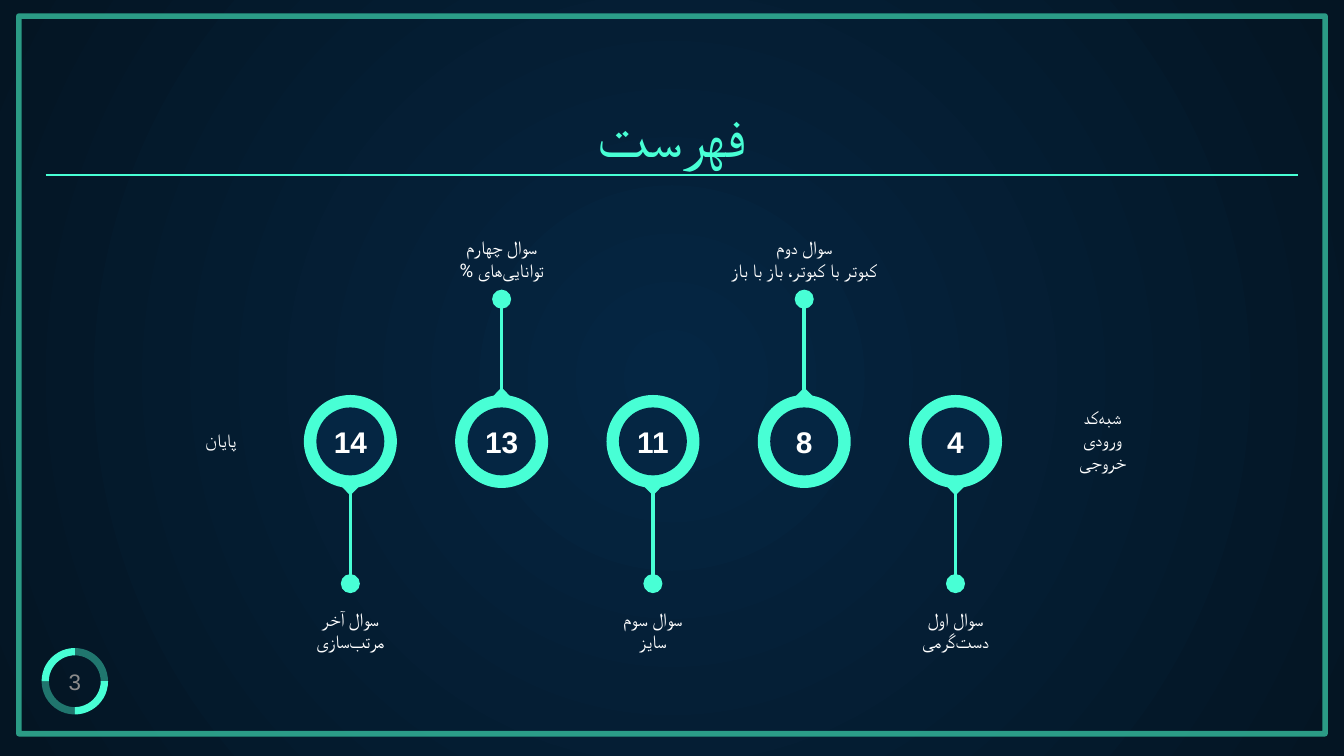
from dataclasses import dataclass

from lxml.etree import SubElement
from pptx import Presentation
from pptx.dml.color import RGBColor
from pptx.enum.shapes import MSO_CONNECTOR, MSO_SHAPE
from pptx.enum.text import MSO_ANCHOR, MSO_AUTO_SIZE, PP_ALIGN
from pptx.oxml.ns import qn
from pptx.shapes.autoshape import Shape
from pptx.slide import Slide
from pptx.text.text import TextFrame
from pptx.util import Pt

COLORS = {
    "accent": "48FFD5",
    "frame": "35BD9E",
    "center": "052643",
    "edge": "041523",
    "text": "FFFFFF",
    "page": "8C8C8C",
}
HALF_SPACE = chr(0x200C)
FIRST_X, STEP_X, AXIS_Y = 187.7, 81.05, 236.5
RING, HOLE, DOT, REACH = 49.8, 36.4, 10.2, 76.2
POINTER_WIDTH, POINTER_HEIGHT = 9.4, 4.8
LABEL_HEIGHT, LABEL_ABOVE, LABEL_BELOW = 36.7, 119.2, 318.2


@dataclass
class Milestone:
    page: str
    label: list[str]
    label_width: float
    upward: bool


@dataclass
class SideLabel:
    lines: list[str]
    left: float
    top: float
    width: float
    height: float


MILESTONES = [
    Milestone("14", ["سوال آخر", f"مرتب{HALF_SPACE}سازی"], 87, False),
    Milestone("13", ["سوال چهارم", f"توانایی{HALF_SPACE}های %"], 92, True),
    Milestone("11", ["سوال سوم", "سایز"], 94, False),
    Milestone("8", ["سوال دوم", "کبوتر با کبوتر، باز با باز"], 107.3, True),
    Milestone("4", ["سوال اول", f"دست{HALF_SPACE}گرمی"], 126, False),
]
SIDE_LABELS = [
    SideLabel(["پایان"], 101.5, 222.5, 33.8, 23.8),
    SideLabel([f"شبه{HALF_SPACE}کد", "ورودی", "خروجی"], 563, 210.2, 55.4, 20.2),
]


def rgb(name: str) -> RGBColor:
    return RGBColor.from_string(COLORS[name])


def set_opacity(shape: Shape, percent: int) -> None:
    for color in shape.element.spPr.iter(qn("a:srgbClr")):
        SubElement(color, qn("a:alpha")).set("val", str(percent * 1000))


def write(frame: TextFrame, lines: list[str], font: str, size: float, color: str,
          anchor: MSO_ANCHOR, inset: float = 0, bold: bool = False, rtl: bool = False) -> None:
    frame.word_wrap = True
    frame.auto_size = MSO_AUTO_SIZE.NONE
    frame.vertical_anchor = anchor
    frame.margin_left = frame.margin_right = Pt(inset)
    frame.margin_top = frame.margin_bottom = Pt(inset)
    for index, line in enumerate(lines):
        paragraph = frame.add_paragraph() if index else frame.paragraphs[0]
        paragraph.alignment = PP_ALIGN.CENTER
        if rtl:
            paragraph._p.get_or_add_pPr().set("rtl", "1")
        run = paragraph.add_run()
        run.text = line
        run.font.name = font
        run.font.size = Pt(size)
        run.font.bold = bold
        run.font.color.rgb = rgb(color)
        SubElement(run._r.get_or_add_rPr(), qn("a:cs")).set("typeface", font)


def add_centered(slide: Slide, kind: MSO_SHAPE, x: float, y: float,
                 width: float, height: float, color: str) -> Shape:
    shape = slide.shapes.add_shape(
        kind, Pt(x - width / 2), Pt(y - height / 2), Pt(width), Pt(height))
    shape.shadow.inherit = False
    shape.fill.solid()
    shape.fill.fore_color.rgb = rgb(color)
    shape.line.fill.background()
    return shape


def add_line(slide: Slide, x1: float, y1: float, x2: float, y2: float, width: float) -> None:
    line = slide.shapes.add_connector(
        MSO_CONNECTOR.STRAIGHT, Pt(x1), Pt(y1), Pt(x2), Pt(y2))
    line.line.color.rgb = rgb("accent")
    line.line.width = Pt(width)
    SubElement(line._element.spPr, qn("a:effectLst"))


def add_label(slide: Slide, lines: list[str], left: float, top: float,
              width: float, height: float) -> None:
    label = slide.shapes.add_textbox(Pt(left), Pt(top), Pt(width), Pt(height))
    write(label.text_frame, lines, "Roboto", 10, "text", MSO_ANCHOR.TOP, 7.2, rtl=True)


def add_milestone(slide: Slide, milestone: Milestone, x: float) -> None:
    side = -1 if milestone.upward else 1
    dot_y = AXIS_Y + side * REACH
    add_line(slide, x, AXIS_Y + side * HOLE / 2, x, dot_y, 1.95)
    add_centered(slide, MSO_SHAPE.OVAL, x, dot_y, DOT, DOT, "accent")
    add_centered(slide, MSO_SHAPE.OVAL, x, AXIS_Y, RING, RING, "accent")
    pointer = add_centered(slide, MSO_SHAPE.ISOSCELES_TRIANGLE, x, AXIS_Y + side * 26.5,
                           POINTER_WIDTH, POINTER_HEIGHT, "accent")
    pointer.rotation = 0 if milestone.upward else 180
    hole = add_centered(slide, MSO_SHAPE.OVAL, x, AXIS_Y, HOLE, HOLE, "center")
    write(hole.text_frame, [milestone.page], "Arial", 16, "text", MSO_ANCHOR.MIDDLE, bold=True)
    add_label(slide, milestone.label, x - milestone.label_width / 2,
              LABEL_ABOVE if milestone.upward else LABEL_BELOW,
              milestone.label_width, LABEL_HEIGHT)


def paint_background(slide: Slide) -> None:
    fill = slide.background.fill
    fill.gradient()
    for stop, position, color in zip(fill.gradient_stops, (0, 1), ("center", "edge")):
        stop.position = position
        stop.color.rgb = rgb(color)
    gradient = slide.element.find(".//" + qn("a:gradFill"))
    gradient.remove(gradient.find(qn("a:lin")))
    circle = SubElement(gradient, qn("a:path"))
    circle.set("path", "circle")
    focus = SubElement(circle, qn("a:fillToRect"))
    for edge in "ltrb":
        focus.set(edge, "50000")


def add_page_badge(slide: Slide, x: float, y: float, size: float) -> None:
    for quarter in range(4):
        arc = add_centered(slide, MSO_SHAPE.BLOCK_ARC, x, y, size, size, "accent")
        start = quarter * 90
        arc.adjustments[0] = start * 0.6
        arc.adjustments[1] = (start + 90) % 360 * 0.6
        arc.adjustments[2] = 0.11
        if quarter % 2:
            set_opacity(arc, 41)
    number = slide.shapes.add_textbox(
        Pt(x - size / 2), Pt(y - size / 2), Pt(size), Pt(size))
    write(number.text_frame, ["3"], "Arial", 12, "page", MSO_ANCHOR.MIDDLE)


def main() -> None:
    deck = Presentation()
    deck.slide_width, deck.slide_height = Pt(720), Pt(405)
    slide = deck.slides.add_slide(deck.slide_layouts[5])
    paint_background(slide)
    add_page_badge(slide, 40.1, 365, 35.6)

    frame = add_centered(slide, MSO_SHAPE.RECTANGLE, 360, 200.9, 699.8, 384.5, "frame")
    frame.fill.background()
    frame.line.color.rgb = rgb("frame")
    frame.line.width = Pt(3)
    set_opacity(frame, 80)

    title = slide.shapes.title
    title.left, title.top, title.width, title.height = Pt(24.5), Pt(50.4), Pt(671), Pt(47.5)
    write(title.text_frame, ["فهرست"], "Lato", 32, "accent", MSO_ANCHOR.BOTTOM, 7.2)
    add_line(slide, 24.5, 93.7, 695.5, 93.7, 0.75)

    for index, milestone in enumerate(MILESTONES):
        add_milestone(slide, milestone, FIRST_X + index * STEP_X)
    for side in SIDE_LABELS:
        add_label(slide, side.lines, side.left, side.top, side.width, side.height)
    deck.save("out.pptx")


if __name__ == "__main__":
    main()
